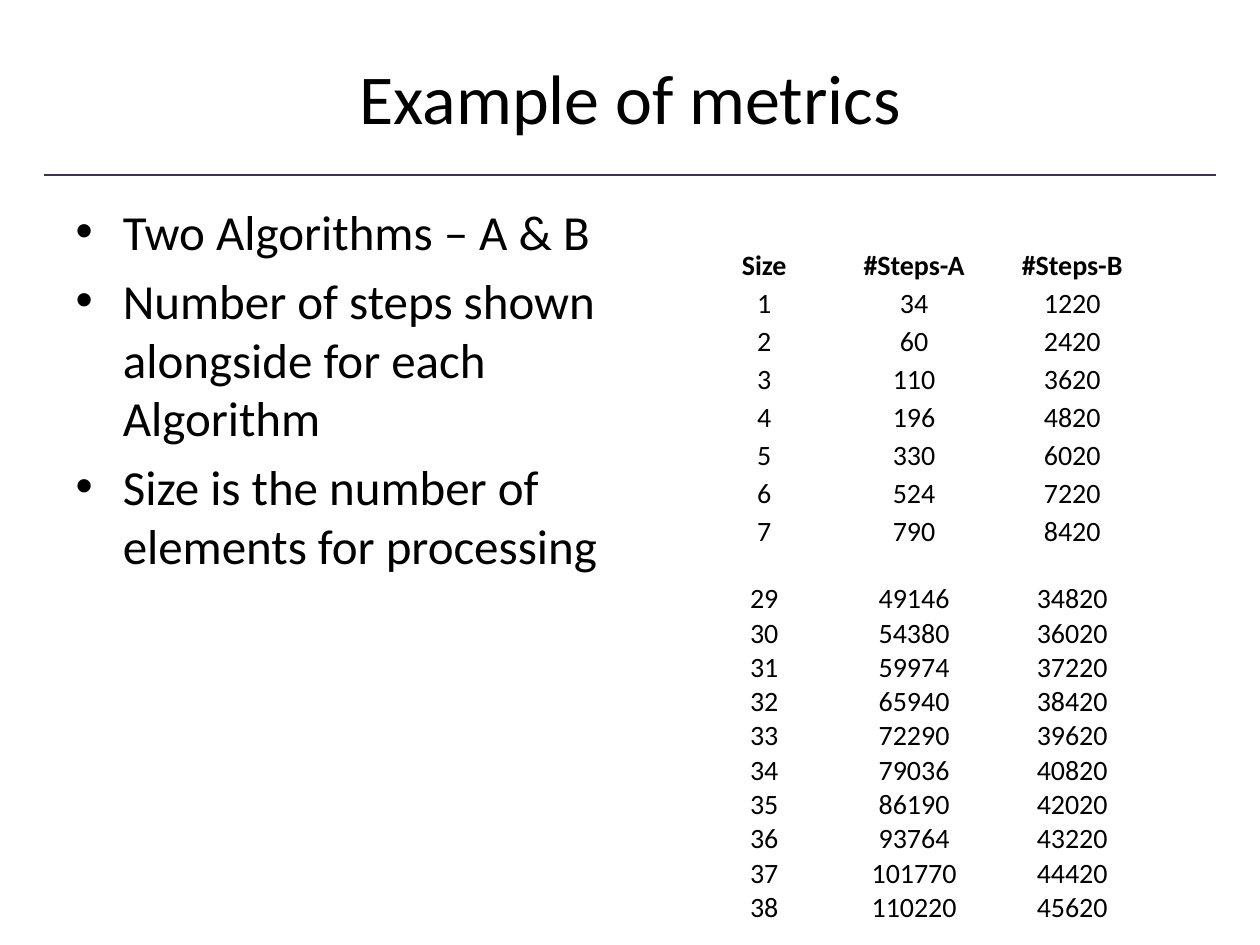
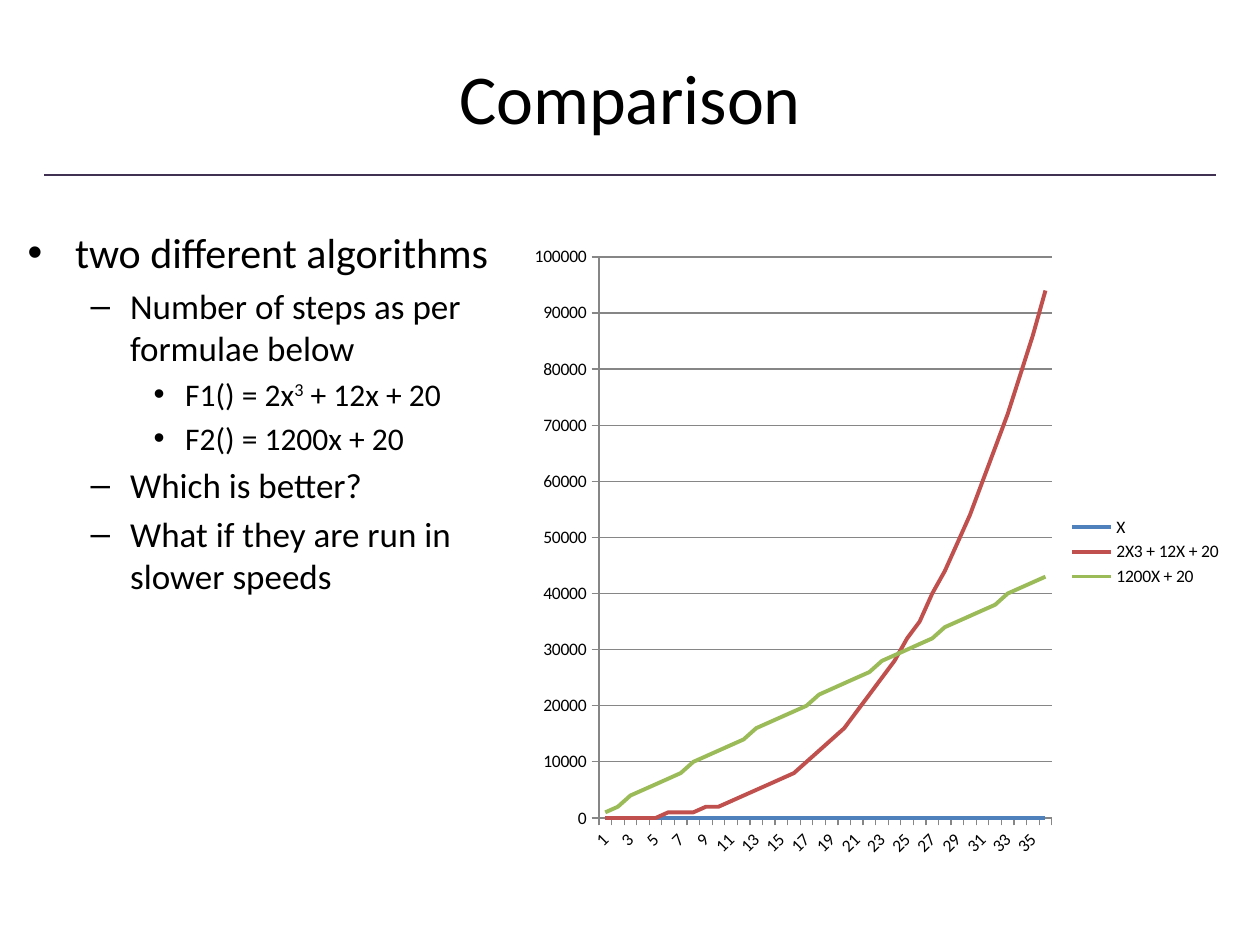
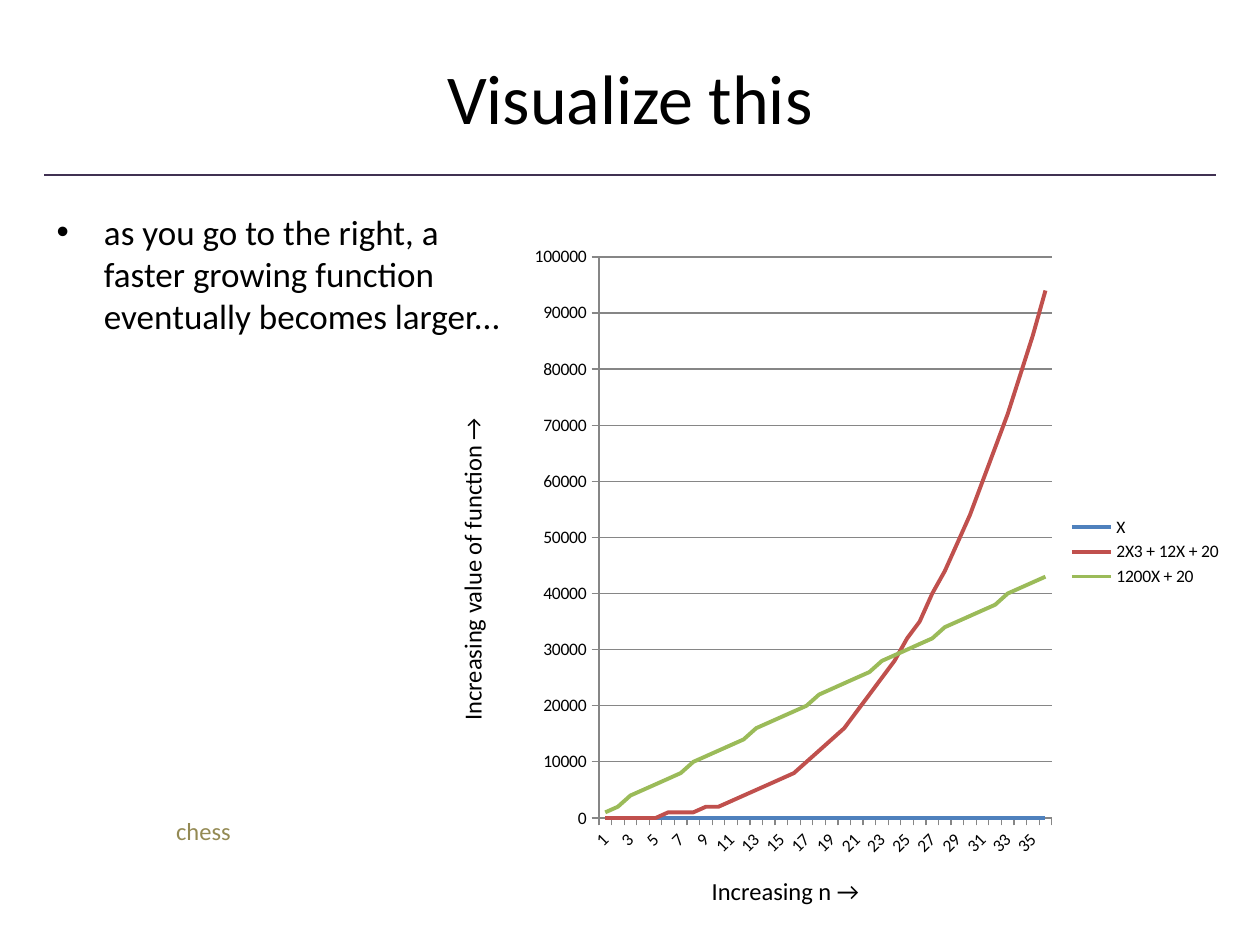
from dataclasses import dataclass

from lxml import etree
from pptx import Presentation
from pptx.chart.data import CategoryChartData
from pptx.dml.color import RGBColor
from pptx.enum.chart import XL_CHART_TYPE, XL_LEGEND_POSITION, XL_TICK_MARK
from pptx.enum.shapes import MSO_CONNECTOR
from pptx.enum.text import MSO_ANCHOR, MSO_AUTO_SIZE, PP_ALIGN
from pptx.oxml.ns import qn
from pptx.util import Pt

LINE_CHART = XL_CHART_TYPE.LINE
LEGEND_RIGHT = XL_LEGEND_POSITION.RIGHT
TICK_OUTSIDE = XL_TICK_MARK.OUTSIDE
STRAIGHT = MSO_CONNECTOR.STRAIGHT
MIDDLE, BOTTOM = MSO_ANCHOR.MIDDLE, MSO_ANCHOR.BOTTOM
FIXED, GROW = MSO_AUTO_SIZE.NONE, MSO_AUTO_SIZE.SHAPE_TO_FIT_TEXT
CENTER = PP_ALIGN.CENTER

EMU_PER_PX = 9144


@dataclass(frozen=True)
class Theme:
    font: str = "Calibri"
    text: str = "000000"
    rule: str = "403152"
    accent: str = "948A54"
    grid: str = "868686"
    series: tuple = ("4F81BD", "C0504D", "9BBB59")
    title_size: int = 40
    table_size: int = 16
    label_size: int = 14
    chart_size: int = 10


def px(*lengths):
    return [length * EMU_PER_PX for length in lengths]


def rgb(value):
    return RGBColor.from_string(value)


class Deck:
    """Builds slides in one style, element by element."""

    def __init__(self, theme):
        self.theme = theme
        self.prs = Presentation()
        self.prs.slide_width, self.prs.slide_height = px(1000, 750)
        self.slide = None

    def style(self, font, size, color=None, bold=False):
        font.name = self.theme.font
        font.size = Pt(size)
        font.bold = bold
        font.color.rgb = rgb(color or self.theme.text)

    def place(self, placeholder, area):
        placeholder.left, placeholder.top, placeholder.width, placeholder.height = px(*area)
        placeholder.text_frame.auto_size = FIXED
        return placeholder.text_frame

    def add_slide(self, title):
        first = self.slide is None
        self.slide = self.prs.slides.add_slide(self.prs.slide_layouts[1])
        if first:
            self.master_rule()
        frame = self.place(self.slide.shapes.title, (50, 30, 900, 93))
        frame.vertical_anchor = MIDDLE
        heading = frame.paragraphs[0]
        heading.text = title
        heading.alignment = CENTER
        self.style(heading.font, self.theme.title_size)

    def master_rule(self):
        rule = self.slide.shapes.add_connector(STRAIGHT, *px(35, 139, 965, 139))
        rule.line.color.rgb = rgb(self.theme.rule)
        rule.line.width = Pt(1)
        etree.SubElement(rule.element.spPr, qn("a:effectLst"))
        self.prs.slide_master.shapes.element.append(rule.element)

    def bullets(self, area, sizes, items):
        frame = self.place(self.slide.placeholders[1], area)
        for index, (level, *pieces) in enumerate(items):
            item = frame.add_paragraph() if index else frame.paragraphs[0]
            item.level = level
            self.style(item.font, sizes[level])
            for position, piece in enumerate(pieces):
                run = item.add_run()
                run.text = piece
                if position % 2:
                    run.font.size = Pt(sizes[level])
                    run._r.get_or_add_rPr().set("baseline", "30000")

    def table(self, area, widths, rows, header=False):
        grid = self.slide.shapes.add_table(len(rows), len(widths), *px(*area)).table
        grid.first_row = grid.horz_banding = False
        for column, width in zip(grid.columns, px(*widths)):
            column.width = width
        for r, row in enumerate(rows):
            for c, value in enumerate(row):
                cell = grid.cell(r, c)
                cell.fill.background()
                cell.margin_left = cell.margin_right = 0
                cell.margin_top = cell.margin_bottom = 0
                cell.vertical_anchor = BOTTOM
                entry = cell.text_frame.paragraphs[0]
                entry.text = str(value)
                entry.alignment = CENTER
                self.style(entry.font, self.theme.table_size, bold=header and r == 0)

    def line_chart(self, area, categories, series):
        data = CategoryChartData()
        data.categories = [str(category) for category in categories]
        for name, values in series.items():
            data.add_series(name, [round(value, -3) for value in values])
        chart = self.slide.shapes.add_chart(LINE_CHART, *px(*area), data).chart
        self.style(chart.font, self.theme.chart_size)
        chart.has_title = False
        chart.has_legend = True
        chart.legend.position = LEGEND_RIGHT
        chart.legend.include_in_layout = False
        chart.plots[0].vary_by_categories = False
        chart.value_axis.has_major_gridlines = True
        for axis in (chart.category_axis, chart.value_axis):
            axis.major_tick_mark = TICK_OUTSIDE
        for part in (chart.category_axis, chart.value_axis, chart.value_axis.major_gridlines):
            part.format.line.color.rgb = rgb(self.theme.grid)
            part.format.line.width = Pt(0.75)
        for curve, color in zip(chart.plots[0].series, self.theme.series):
            curve.smooth = False
            curve.format.line.color.rgb = rgb(color)
            curve.format.line.width = Pt(2.25)

    def label(self, area, text, color=None, wrap=False, upward=False):
        box = self.slide.shapes.add_textbox(*px(*area))
        frame = box.text_frame
        frame.word_wrap = wrap
        frame.auto_size = GROW
        if upward:
            box.element.txBody.bodyPr.set("vert", "vert270")
        caption = frame.paragraphs[0]
        caption.text = text
        self.style(caption.font, self.theme.label_size, color)


def steps_a(n):
    return 2 * n ** 3 + 12 * n + 20


def steps_b(n):
    return 1200 * n + 20


def step_rows(sizes):
    return [(n, steps_a(n), steps_b(n)) for n in sizes]


def growth_chart(deck):
    sizes = range(1, 37)
    names = ("X", "2X3 + 12X + 20", "1200X + 20")
    deck.line_chart((413, 186, 567, 504), sizes, dict(zip(names, zip(*step_rows(sizes)))))


def metrics_slide(deck):
    deck.add_slide("Example of metrics")
    deck.bullets((50, 155, 442, 515), (28,), [
        (0, "Two Algorithms – A & B"),
        (0, "Number of steps shown alongside for each Algorithm"),
        (0, "Size is the number of elements for processing"),
    ])
    widths = (119, 119, 132)
    header = ("Size", "#Steps-A", "#Steps-B")
    deck.table((547, 194, 370, 242), widths, [header, *step_rows(range(1, 8))], header=True)
    deck.table((547, 462, 370, 267), widths, step_rows(range(29, 39)))


def comparison_slide(deck):
    deck.add_slide("Comparison")
    deck.bullets((12, 175, 433, 495), (24, 20, 18), [
        (0, "two different algorithms"),
        (1, "Number of steps as per formulae below"),
        (2, "F1() = 2x", "3", " + 12x + 20"),
        (2, "F2() = 1200x + 20"),
        (1, "Which is better?"),
        (1, "What if they are run in slower speeds"),
    ])
    growth_chart(deck)


def visualize_slide(deck):
    deck.add_slide("Visualize this")
    deck.bullets((35, 162, 394, 515), (20,), [
        (0, "as you go to the right, a faster growing function eventually becomes larger..."),
    ])
    growth_chart(deck)
    deck.label((555, 690, 140, 34), "Increasing n →")
    deck.label((358, 328, 44, 254), "Increasing value of function →", upward=True)
    deck.label((130, 643, 87, 34), "chess", color=deck.theme.accent, wrap=True)


def main():
    deck = Deck(Theme())
    metrics_slide(deck)
    comparison_slide(deck)
    visualize_slide(deck)
    deck.prs.save("out.pptx")


if __name__ == "__main__":
    main()
